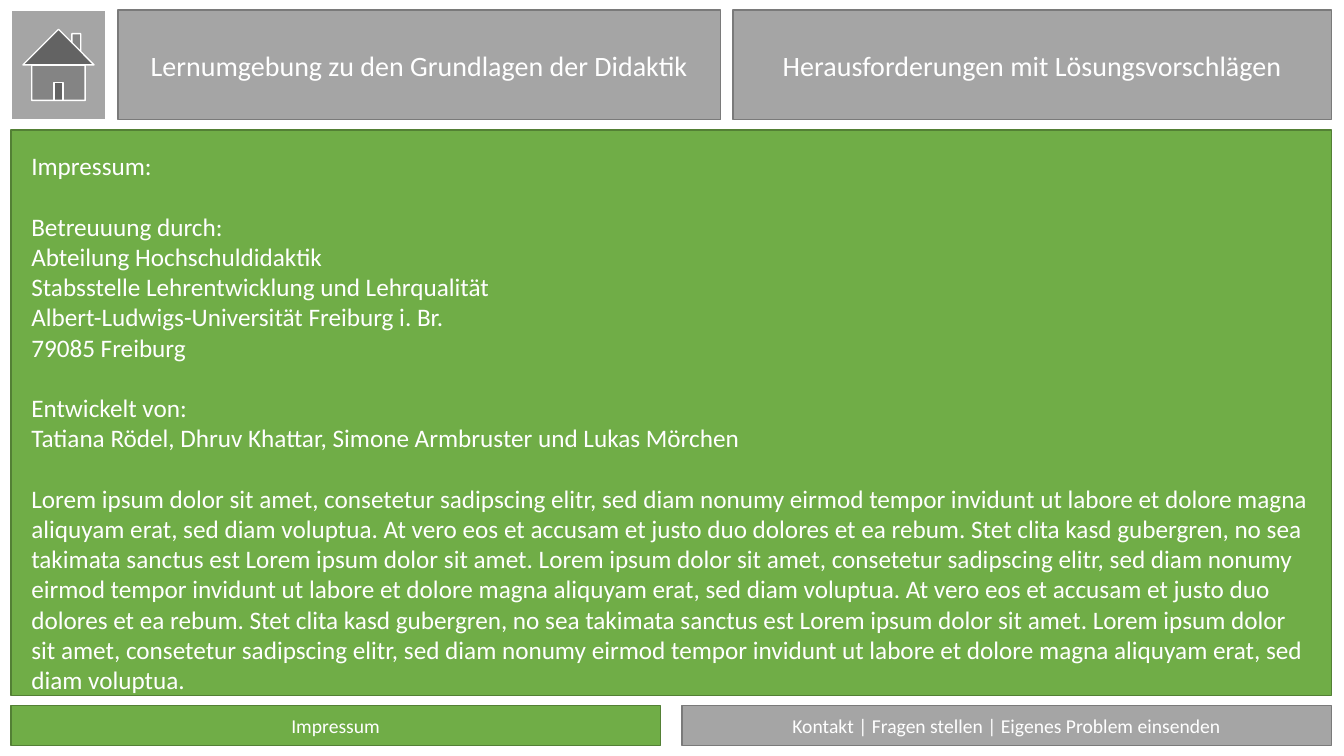
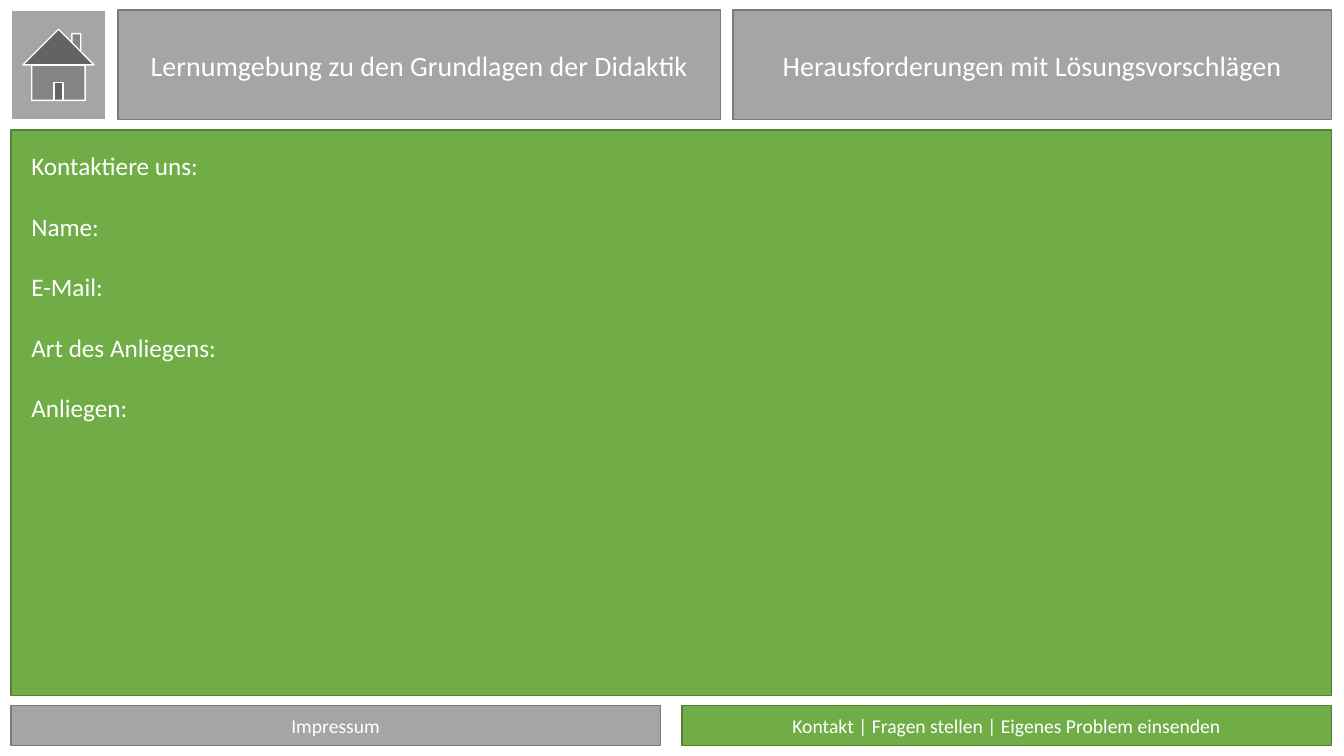
import pptx
import pptx.dml.color
import pptx.enum.shapes
import pptx.enum.text
import pptx.util

Cm = pptx.util.Cm
Pt = pptx.util.Pt
MSO_SHAPE = pptx.enum.shapes.MSO_SHAPE
ANCHOR = pptx.enum.text.MSO_ANCHOR
ALIGN = pptx.enum.text.PP_ALIGN

FONT = "Calibri"
WHITE = "FFFFFF"
GREEN = ("70AD47", "538035")
GREY = ("A5A5A5", "7A7A7A")
GREY_WHITE = ("A5A5A5", WHITE)

LEFT, RIGHT = 0.28, 33.55
HEADER_TOP, HEADER_HEIGHT = 0.25, 2.77
PANEL_TOP, PANEL_HEIGHT = 3.28, 14.24
FOOTER_TOP, FOOTER_HEIGHT = 17.78, 1
FOOTER_WIDTH = 16.36
PANEL_INSET = 0.51
BLOCK_GAP = 21.6

headers = [
    ("Lernumgebung zu den Grundlagen der Didaktik", 2.97, 15.19),
    ("Herausforderungen mit Lösungsvorschlägen", 18.47, 15.08),
]
footers = [
    ("Impressum", LEFT),
    ("Kontakt | Fragen stellen | Eigenes Problem einsenden", RIGHT - FOOTER_WIDTH),
]

lorem = (
    "Lorem ipsum dolor sit amet, consetetur sadipscing elitr, sed diam nonumy eirmod "
    "tempor invidunt ut labore et dolore magna aliquyam erat, sed diam voluptua."
)
at_vero = (
    "At vero eos et accusam et justo duo dolores et ea rebum. Stet clita kasd gubergren, "
    "no sea takimata sanctus est Lorem ipsum dolor sit amet."
)

# Each page is a list of blocks; each block is a list of paragraphs.
imprint = [
    ["Impressum:"],
    [
        "Betreuuung durch:",
        "Abteilung Hochschuldidaktik\n"
        "Stabsstelle Lehrentwicklung und Lehrqualität\n"
        "Albert-Ludwigs-Universität Freiburg i. Br.\n"
        "79085 Freiburg",
    ],
    [
        "Entwickelt von:",
        "Tatiana Rödel, Dhruv Khattar, Simone Armbruster und Lukas Mörchen",
    ],
    [" ".join([lorem, at_vero, lorem, at_vero, lorem])],
]
contact = [
    ["Kontaktiere uns:"],
    ["Name:"],
    ["E-Mail:"],
    ["Art des Anliegens:"],
    ["Anliegen:"],
]


def rgb(value):
    return pptx.dml.color.RGBColor.from_string(value)


def add_box(slide, left, top, width, height, colours, blocks=(), size=18,
            align=ALIGN.CENTER, kind=MSO_SHAPE.RECTANGLE):
    """Add a filled shape whose text blocks are set apart by one line."""
    box = slide.shapes.add_shape(kind, Cm(left), Cm(top), Cm(width), Cm(height))
    box.shadow.inherit = False
    fill, line = colours
    box.fill.solid()
    box.fill.fore_color.rgb = rgb(fill)
    box.line.color.rgb = rgb(line)
    box.line.width = Pt(1)
    frame = box.text_frame
    frame.word_wrap = True
    frame.vertical_anchor = ANCHOR.MIDDLE
    paragraph = frame.paragraphs[0]
    for block_number, block in enumerate(blocks):
        for line_number, text in enumerate(block):
            if block_number or line_number:
                paragraph = frame.add_paragraph()
            paragraph.text = text
            paragraph.alignment = align
            paragraph.font.name = FONT
            paragraph.font.size = Pt(size)
            paragraph.font.color.rgb = rgb(WHITE)
            if block_number and not line_number:
                paragraph.space_before = Pt(BLOCK_GAP)
    return box


presentation = pptx.Presentation()
presentation.slide_width = Cm(33.87)
presentation.slide_height = Cm(19.05)

for page, (active_footer, blocks) in enumerate([("Impressum", imprint), (footers[1][0], contact)]):
    slide = presentation.slides.add_slide(presentation.slide_layouts[6])

    panel = add_box(slide, LEFT, PANEL_TOP, RIGHT - LEFT, PANEL_HEIGHT, GREEN,
                    blocks, align=ALIGN.LEFT)
    panel_text = panel.text_frame
    panel_text.vertical_anchor = ANCHOR.TOP
    panel_text.margin_left = panel_text.margin_right = Cm(PANEL_INSET)
    panel_text.margin_top = panel_text.margin_bottom = Cm(PANEL_INSET)

    for label, left in footers:
        colours = GREEN if label == active_footer else GREY
        add_box(slide, left, FOOTER_TOP, FOOTER_WIDTH, FOOTER_HEIGHT, colours, [[label]], 14)

    for label, left, width in headers:
        add_box(slide, left, HEADER_TOP, width, HEADER_HEIGHT, GREY, [[label]], 20)

    add_box(slide, LEFT, HEADER_TOP, 2.39, HEADER_HEIGHT, GREY_WHITE,
            kind=MSO_SHAPE.ACTION_BUTTON_HOME)

presentation.save("out.pptx")
